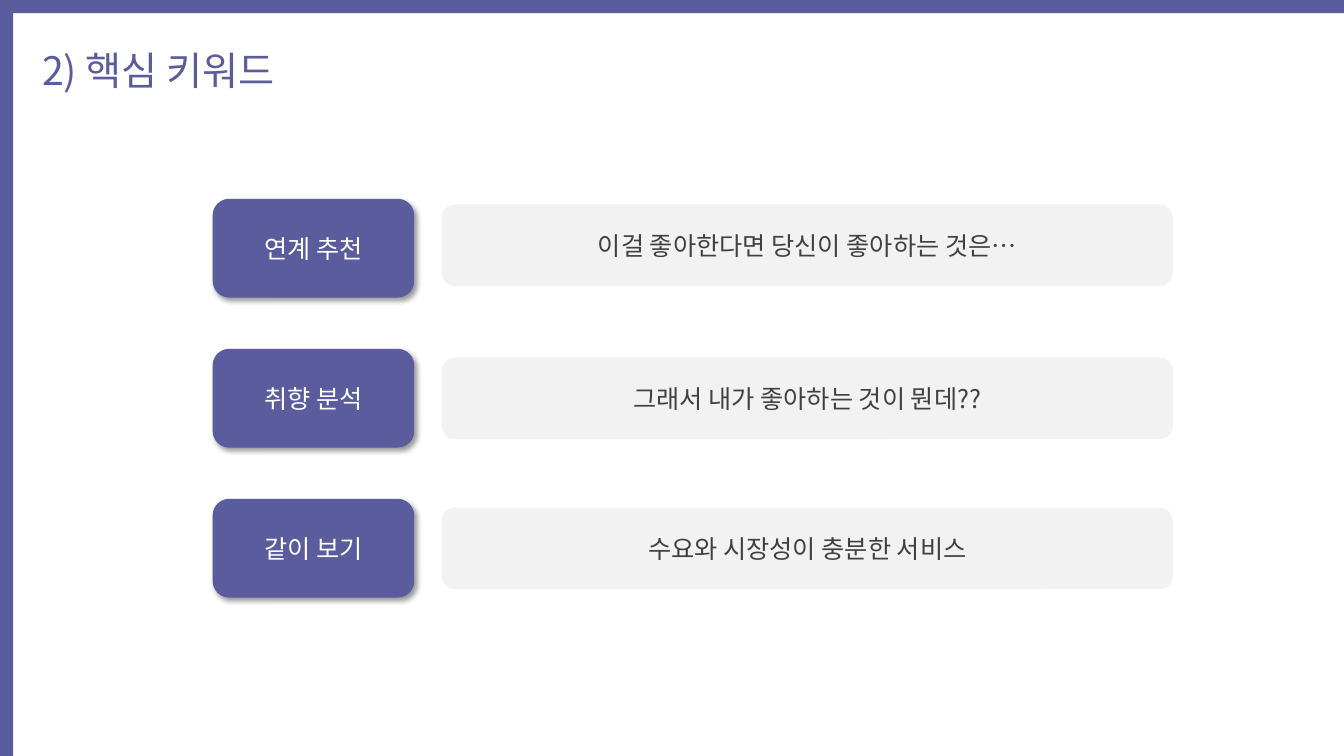
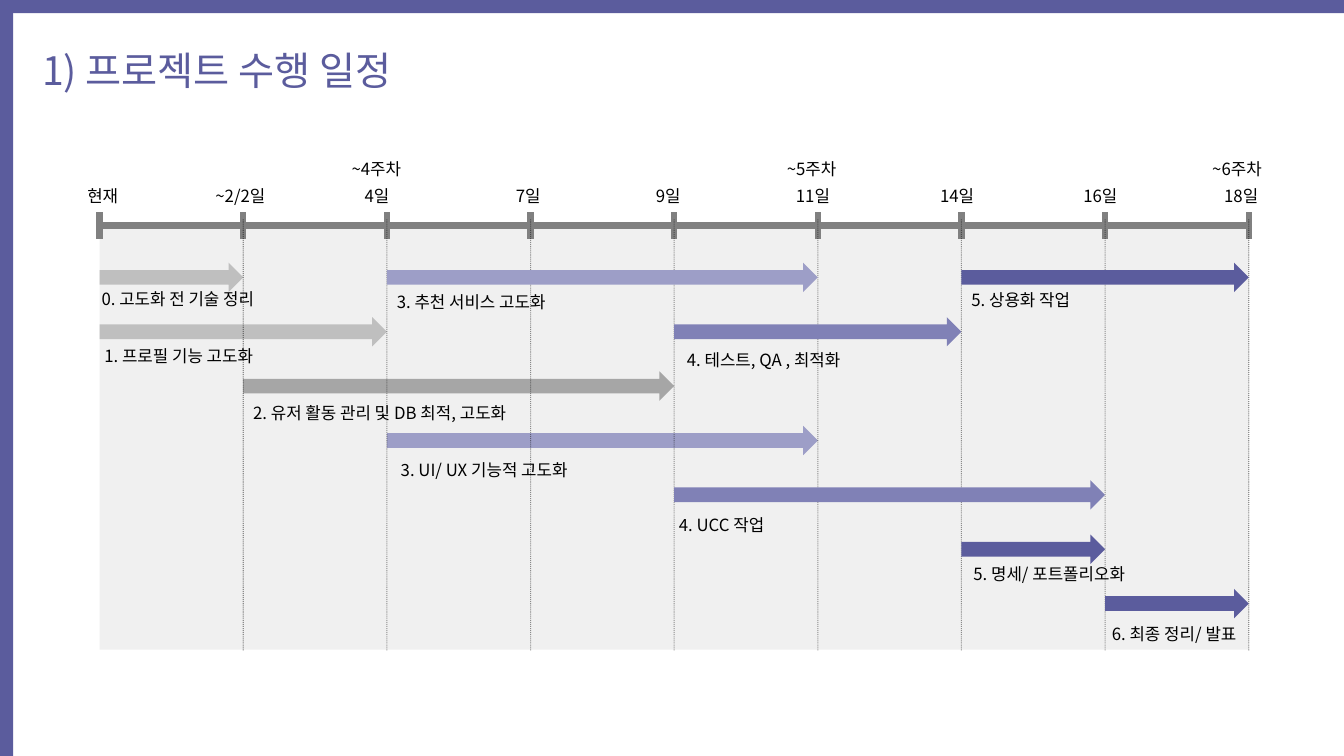
import lxml.etree
import pptx
import pptx.dml.color
import pptx.enum.dml
import pptx.enum.shapes
import pptx.enum.text
import pptx.oxml.ns
import pptx.util

Cm = pptx.util.Cm
Pt = pptx.util.Pt
SHAPE = pptx.enum.shapes.MSO_SHAPE
qn = pptx.oxml.ns.qn

# Shared look
FONT = "Noto Sans CJK KR"
WIDTH, HEIGHT, BAND = 33.87, 19.05, 0.33
COLOURS = {
    "brand": "5B5C9D", "mid": "8081B6", "light": "9D9EC7",
    "pale_grey": "BFBFBF", "grey": "A6A6A6", "axis": "808080",
    "panel": "D9D9D9", "sentence": "F2F2F2",
    "body": "404040", "black": "000000", "white": "FFFFFF",
}
TITLE = {"size": 28, "colour": "brand"}
KEYWORD = {"size": 18, "colour": "white"}
SENTENCE = {"size": 18, "colour": "body"}
LABEL = {"size": 12, "colour": "black"}

# Keyword, sentence, drop of the sentence box below the keyword's top
KEYWORDS = [
    ("연계 추천", "이걸 좋아한다면 당신이 좋아하는 것은…", 0.14),
    ("취향 분석", "그래서 내가 좋아하는 것이 뭔데??", 0.22),
    ("같이 보기", "수요와 시장성이 충분한 서비스", 0.22),
]

# Day and its shift from the tick
DAYS = [
    ("현재", -0.56), ("~2/2일", -0.95), ("4일", -0.81), ("7일", -0.62),
    ("9일", -0.71), ("11일", -0.8), ("14일", -0.79), ("16일", -0.8),
    ("18일", -0.87),
]
# Week, its tick and shift
WEEKS = [("~4주차", 2, -1.14), ("~5주차", 5, -1.03), ("~6주차", 8, -1.17)]

# Task, first tick, last tick, row, colour, label shift right and down
TASKS_UNDER_GUIDES = [
    ("0. 고도화 전 기술 정리", 0, 1, 0, "pale_grey", -0.2, 0.53),
    ("1. 프로필 기능 고도화", 0, 2, 1, "pale_grey", -0.13, 0.61),
    ("2. 유저 활동 관리 및 DB 최적, 고도화", 1, 4, 2, "grey", 0, 0.66),
    ("3. UI/ UX 기능적 고도화", 2, 5, 3, "light", 0.1, 0.74),
]
TASKS_OVER_GUIDES = [
    ("3. 추천 서비스 고도화", 2, 5, 0, "light", 0, 0.61),
    ("5. 상용화 작업", 6, 8, 0, "brand", 0, 0.56),
    ("4. 테스트, QA , 최적화", 4, 6, 1, "mid", 0.07, 0.71),
    ("4. UCC 작업", 4, 7, 4, "mid", -0.13, 0.74),
    ("5. 명세/ 포트폴리오화", 6, 7, 5, "brand", 0.05, 0.61),
    ("6. 최종 정리/ 발표", 7, 8, 6, "brand", -0.08, 0.76),
]


def rgb(colour):
    return pptx.dml.color.RGBColor.from_string(COLOURS[colour])


def set_alpha(owner, percent):
    for clr in owner.iter(qn("a:srgbClr")):
        lxml.etree.SubElement(clr, qn("a:alpha"), val=str(percent * 1000))


def write(frame, text, style, **frame_format):
    for name, value in {"word_wrap": True, **frame_format}.items():
        setattr(frame, name, value)
    run = frame.paragraphs[0].add_run()
    run.text = text
    for name, value in {"name": FONT, "size": Pt(style["size"])}.items():
        setattr(run.font, name, value)
    run.font.color.rgb = rgb(style["colour"])
    lxml.etree.SubElement(run.font._element, qn("a:ea"), typeface=FONT)


def add_text(slide, text, left, top, width, height, style):
    box = slide.shapes.add_textbox(Cm(left), Cm(top), Cm(width), Cm(height))
    write(box.text_frame, text, style,
          auto_size=pptx.enum.text.MSO_AUTO_SIZE.SHAPE_TO_FIT_TEXT)


def add_block(slide, kind, left, top, width, height, colour):
    block = slide.shapes.add_shape(kind, Cm(left), Cm(top), Cm(width), Cm(height))
    block.shadow.inherit = False
    block.fill.solid()
    block.fill.fore_color.rgb = rgb(colour)
    block.line.fill.background()
    return block


def add_card(slide, text, left, top, width, height, colour, style):
    card = add_block(slide, SHAPE.ROUNDED_RECTANGLE, left, top, width, height, colour)
    write(card.text_frame, text, style,
          vertical_anchor=pptx.enum.text.MSO_ANCHOR.MIDDLE)
    card.text_frame.paragraphs[0].alignment = pptx.enum.text.PP_ALIGN.CENTER
    return card


def add_soft_shadow(card):
    effects = card._element.spPr.find(qn("a:effectLst"))
    shadow = lxml.etree.SubElement(
        effects, qn("a:outerShdw"), blurRad=str(Pt(4)), dist=str(Pt(3)),
        dir=str(45 * 60000), algn="tl", rotWithShape="0")
    lxml.etree.SubElement(shadow, qn("a:srgbClr"), val=COLOURS["black"])
    set_alpha(shadow, 40)


def add_line(slide, x1, y1, x2, y2, colour, width):
    line = slide.shapes.add_connector(
        pptx.enum.shapes.MSO_CONNECTOR.STRAIGHT, Cm(x1), Cm(y1), Cm(x2), Cm(y2))
    line.line.color.rgb = rgb(colour)
    line.line.width = Pt(width)
    lxml.etree.SubElement(line._element.spPr, qn("a:effectLst"))
    return line


def add_page(deck, title):
    """Blank slide with the left and top bands and the title."""
    slide = deck.slides.add_slide(deck.slide_layouts[6])
    for width, height in ((BAND, HEIGHT), (WIDTH, BAND)):
        add_block(slide, SHAPE.RECTANGLE, 0, 0, width, height, "brand")
    add_text(slide, title, 0.81, 1.04, 22, 1.45, TITLE)
    return slide


def add_keywords(slide, left, top, width):
    """Rows of a raised keyword and its sentence."""
    pitch, keyword_width, gap = 3.78, 5.08, 0.69
    sentence_left = left + keyword_width + gap
    for row, (keyword, sentence, drop) in enumerate(KEYWORDS):
        y = top + row * pitch
        add_soft_shadow(add_card(slide, keyword, left, y, keyword_width, 2.49,
                                 "brand", KEYWORD))
        add_card(slide, sentence, sentence_left, y + drop,
                 left + width - sentence_left, 2.06, "sentence", SENTENCE)


def add_tasks(slide, tasks, left, top, width, step):
    """Task arrows with their labels."""
    for text, first, last, row, colour, shift, drop in tasks:
        x, y = left + first * step, top + 0.94 + row * 1.37
        add_block(slide, SHAPE.RIGHT_ARROW, x, y, (last - first) * step, 0.74, colour)
        label_left = x + shift
        add_text(slide, text, label_left, y + drop,
                 min(8, left + width + 0.9 - label_left), 0.76, LABEL)


def add_schedule(slide, left, top, width, height):
    """Time axis above a panel of task arrows."""
    step = width / (len(DAYS) - 1)
    ticks = [left + i * step for i in range(len(DAYS))]

    # Panel and the tasks below the guides
    panel = add_block(slide, SHAPE.RECTANGLE, left, top, width, height, "panel")
    set_alpha(panel._element.spPr, 39)
    add_tasks(slide, TASKS_UNDER_GUIDES, left, top, width, step)

    # Axis, ticks and dotted guides
    add_line(slide, left, top, left + width, top, "axis", 4.5)
    for x in ticks:
        add_line(slide, x, top - 0.33, x, top + 0.33, "axis", 4.5)
    for x in ticks[1:]:
        guide = add_line(slide, x, top - 0.15, x, top + height + 0.03, "black", 0.75)
        guide.line.dash_style = pptx.enum.dml.MSO_LINE.ROUND_DOT
        set_alpha(guide._element.spPr, 42)
    add_tasks(slide, TASKS_OVER_GUIDES, left, top, width, step)

    # Days and weeks
    for x, (day, shift) in zip(ticks, DAYS):
        add_text(slide, day, x + shift, top - 1.12, 2.51 if "/" in day else 1.65,
                 0.76, LABEL)
    for week, tick, shift in WEEKS:
        add_text(slide, week, ticks[tick] + shift, top - 1.8, 2.03, 0.76, LABEL)


def main():
    deck = pptx.Presentation()
    deck.slide_width, deck.slide_height = Cm(WIDTH), Cm(HEIGHT)
    add_keywords(add_page(deck, "2) 핵심 키워드"), 5.36, 5.01, 24.2)
    add_schedule(add_page(deck, "1) 프로젝트 수행 일정"), 2.51, 5.68, 28.96, 10.69)
    deck.save("out.pptx")


if __name__ == "__main__":
    main()
